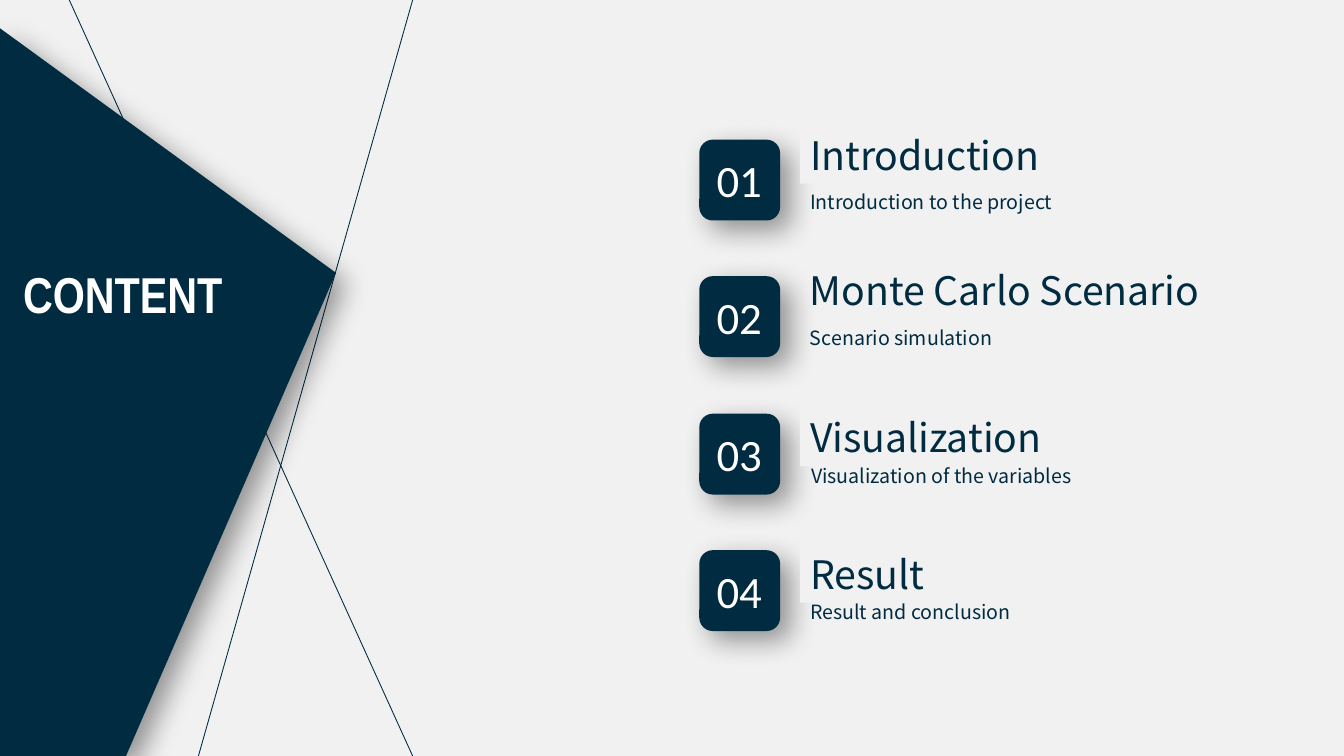
from dataclasses import dataclass

from lxml.etree import SubElement
from pptx import Presentation
from pptx.dml.color import RGBColor
from pptx.enum.shapes import MSO_CONNECTOR, MSO_SHAPE
from pptx.enum.text import MSO_ANCHOR, MSO_AUTO_SIZE, PP_ALIGN
from pptx.oxml.ns import qn
from pptx.util import Pt

PIXEL = 9525  # EMU per px, for a page of 1280 by 720 px
PAGE_WIDTH, PAGE_HEIGHT = 1280, 720

NAVY, PAPER, WHITE, BLACK = "002B41", "F1F1F1", "FFFFFF", "000000"
BODY_FONT, NUMBER_FONT, TITLE_FONT = "Noto Sans CJK SC", "Calibri", "Arial Narrow"

BADGE_LEFT, BADGE_SIZE = 666, 77
FIRST_TOP, TWO_ROWS = 133, 261  # two rows share an odd number of px
TEXT_LEFT, HEADING_HEIGHT = 762, 55


@dataclass
class Entry:
    heading: str
    summary: str
    heading_rise: int
    heading_width: int = 304
    summary_left: int = TEXT_LEFT
    summary_width: int = 260
    heading_behind: bool = False


ENTRIES = [
    Entry("Introduction", "Introduction to the project", 13),
    Entry("Monte Carlo Scenario", "Scenario simulation", 14, heading_width=449,
          summary_width=197, heading_behind=True),
    Entry("Visualization", "Visualization of the variables", 5,
          summary_left=763, summary_width=277),
    Entry("Result", "Result and conclusion", 5, summary_width=216),
]


def px(length):
    return length * PIXEL


def color(value):
    return RGBColor.from_string(value)


def paint(shape, fill):
    shape.fill.solid()
    shape.fill.fore_color.rgb = color(fill)
    shape.line.fill.background()
    shape.shadow.inherit = False


def add_shadow(shape):
    effects = shape._element.spPr.find(qn("a:effectLst"))
    shadow = SubElement(effects, qn("a:outerShdw"), blurRad=str(Pt(20)),
                        dist=str(Pt(10)), dir="2700000", algn="tl", rotWithShape="0")
    tint = SubElement(shadow, qn("a:srgbClr"), val=BLACK)
    SubElement(tint, qn("a:alpha"), val="40000")


def write(box, text, size, font, ink, bold=False, align=PP_ALIGN.LEFT, wrap=True):
    frame = box.text_frame
    frame.word_wrap = wrap
    frame.auto_size = MSO_AUTO_SIZE.SHAPE_TO_FIT_TEXT
    frame.vertical_anchor = MSO_ANCHOR.TOP
    para = frame.paragraphs[0]
    para.alignment = align
    span = para.add_run()
    span.text = text
    span.font.size = Pt(size)
    span.font.name = font
    span.font.bold = bold
    span.font.color.rgb = color(ink)
    # East Asian fonts need their own typeface entry
    SubElement(span.font._element, qn("a:ea"), typeface=font)


def add_text(page, left, top, width, height, text, size, font, ink, **style):
    box = page.shapes.add_textbox(px(left), px(top), px(width), px(height))
    write(box, text, size, font, ink, **style)


def add_thin_line(page, start, end):
    line = page.shapes.add_connector(MSO_CONNECTOR.STRAIGHT,
                                     *(px(value) for value in start + end))
    line.line.color.rgb = color(NAVY)
    line.line.width = Pt(0.63)
    SubElement(line._element.spPr, qn("a:effectLst"))


def add_panel(page, corners):
    builder = page.shapes.build_freeform(*corners[0], scale=PIXEL)
    builder.add_line_segments(corners[1:], close=True)
    panel = builder.convert_to_shape()
    paint(panel, NAVY)
    add_shadow(panel)


def add_badge(page, top, number):
    badge = page.shapes.add_shape(MSO_SHAPE.ROUNDED_RECTANGLE, px(BADGE_LEFT), px(top),
                                  px(BADGE_SIZE), px(BADGE_SIZE))
    paint(badge, NAVY)
    add_shadow(badge)
    add_text(page, BADGE_LEFT + 7, top + 8, 63, 61, f"{number:02}", 32,
             NUMBER_FONT, WHITE, wrap=False)


def add_heading(page, top, entry):
    box = page.shapes.add_shape(MSO_SHAPE.RECTANGLE, px(TEXT_LEFT),
                                px(top - entry.heading_rise),
                                px(entry.heading_width), px(HEADING_HEIGHT))
    paint(box, PAPER)
    write(box, entry.heading, 28, BODY_FONT, NAVY)


def add_entry(page, number, entry):
    top = FIRST_TOP + (number - 1) * TWO_ROWS // 2
    if entry.heading_behind:
        add_heading(page, top, entry)
    add_badge(page, top, number)
    add_text(page, entry.summary_left, top + 43, entry.summary_width, 33,
             entry.summary, 14, BODY_FONT, NAVY, wrap=False)
    if not entry.heading_behind:
        add_heading(page, top, entry)


def main():
    deck = Presentation()
    deck.slide_width, deck.slide_height = px(PAGE_WIDTH), px(PAGE_HEIGHT)
    page = deck.slides.add_slide(deck.slide_layouts[6])
    page.background.fill.solid()
    page.background.fill.fore_color.rgb = color(PAPER)

    # Crossing lines and title panel
    add_thin_line(page, (393, 0), (189, PAGE_HEIGHT))
    add_thin_line(page, (393, PAGE_HEIGHT), (66, 0))
    add_panel(page, [(120, PAGE_HEIGHT), (0, PAGE_HEIGHT), (0, 27), (320, 260)])
    add_text(page, 0, 246, 234, 68, "CONTENT", 36, TITLE_FONT, WHITE,
             bold=True, align=PP_ALIGN.CENTER)

    # Numbered contents
    for number, entry in enumerate(ENTRIES, start=1):
        add_entry(page, number, entry)

    deck.save("out.pptx")


if __name__ == "__main__":
    main()
